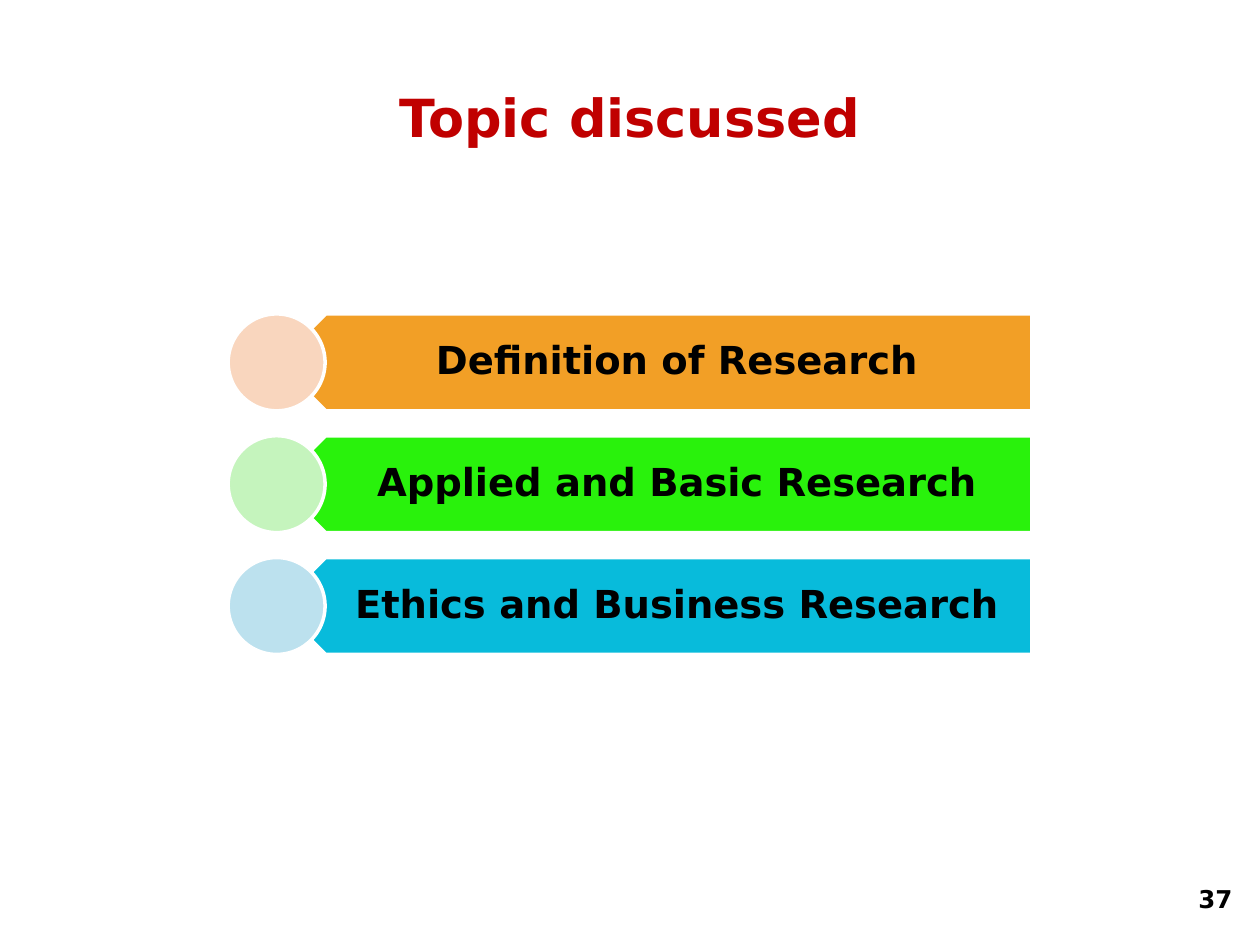
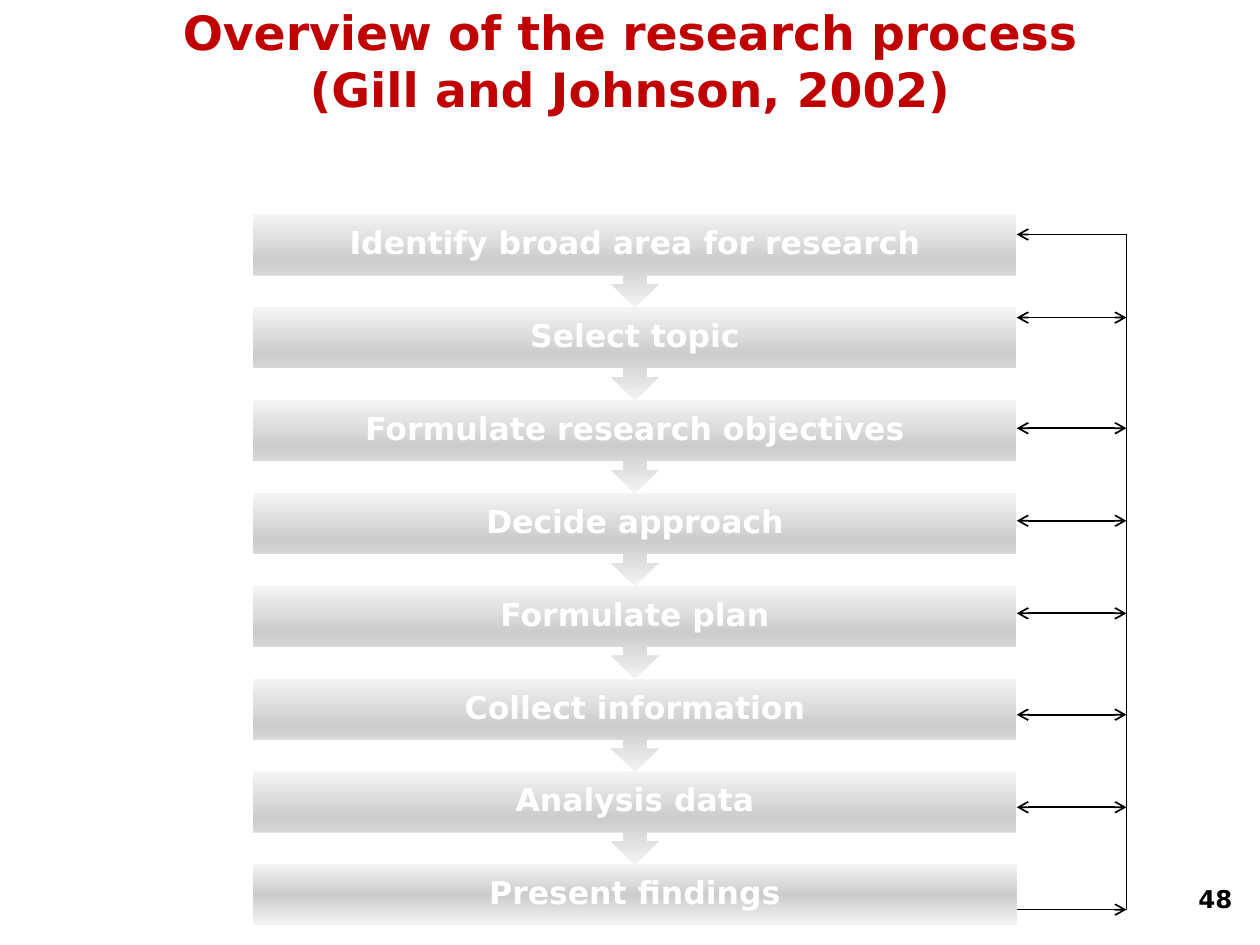
from copy import deepcopy

from lxml.etree import SubElement
from pptx import Presentation
from pptx.dml.color import RGBColor
from pptx.enum.shapes import MSO_CONNECTOR as Connector, MSO_SHAPE as Shape
from pptx.enum.text import MSO_ANCHOR as Anchor, PP_ALIGN as Align
from pptx.oxml.ns import qn
from pptx.util import Pt

FONT = "DejaVu Sans"
RED, BLACK, WHITE = "C00000", "000000", "FFFFFF"
SILVER = [(0, "F4F4F4"), (0.5, "CCCCCC"), (1, "F4F4F4")]

TOPICS = [
    ("Definition of Research", "F29F26", "F9D6BE"),
    ("Applied and Basic Research", "29F20C", "C5F4BD"),
    ("Ethics and Business Research", "08BBDB", "BCE1EE"),
]
STEPS = [
    "Identify broad area for research",
    "Select topic",
    "Formulate research objectives",
    "Decide approach",
    "Formulate plan",
    "Collect information",
    "Analysis data",
    "Present findings",
]


def color(value):
    return RGBColor.from_string(value)


def write(frame, text, size=18, fill=BLACK, align=Align.CENTER,
          anchor=Anchor.MIDDLE, spacing=1.0, insets=(7.2, 3.6, 7.2, 3.6)):
    frame.word_wrap = True
    frame.vertical_anchor = anchor
    (frame.margin_left, frame.margin_top,
     frame.margin_right, frame.margin_bottom) = map(Pt, insets)
    paragraph = frame.paragraphs[0]
    paragraph.text = text
    paragraph.alignment = align
    paragraph.line_spacing = spacing
    for run in paragraph.runs:
        run.font.name = FONT
        run.font.size = Pt(size)
        run.font.bold = True
        run.font.color.rgb = color(fill)


class Deck:
    def __init__(self):
        self.presentation = Presentation()
        self.presentation.slide_width = Pt(720)
        self.presentation.slide_height = Pt(540)
        self.slide = None

    def add_slide(self, title, top, height, size, number):
        self.slide = self.presentation.slides.add_slide(self.presentation.slide_layouts[6])
        self.text(title, 36, top, 648, height, size=size, fill=RED)
        self.text(number, 543.6, 501.8, 167.8, 28.8, size=14,
                  align=Align.RIGHT, anchor=Anchor.TOP)

    def text(self, text, left, top, width, height, **style):
        box = self.slide.shapes.add_textbox(*map(Pt, (left, top, width, height)))
        write(box.text_frame, text, **style)

    def shape(self, kind, left, top, width, height, rotation=0):
        shape = self.slide.shapes.add_shape(kind, *map(Pt, (left, top, width, height)))
        shape.shadow.inherit = False
        shape.rotation = rotation
        return shape

    def outlined(self, kind, fill, *place, rotation=0):
        shape = self.shape(kind, *place, rotation=rotation)
        shape.fill.solid()
        shape.fill.fore_color.rgb = color(fill)
        shape.line.color.rgb = color(WHITE)
        shape.line.width = Pt(2)

    def gradient(self, kind, stops, *place, rotation=0):
        shape = self.shape(kind, *place, rotation=rotation)
        shape.line.fill.background()
        shape.fill.gradient()
        shape.fill.gradient_angle = 90
        stop_list = shape._element.spPr.find(qn("a:gradFill")).find(qn("a:gsLst"))
        stop_list.append(deepcopy(stop_list[-1]))
        for stop, (position, value) in zip(shape.fill.gradient_stops, stops):
            stop.position = position
            stop.color.rgb = color(value)

    def line(self, start, end, ends=()):
        connector = self.slide.shapes.add_connector(
            Connector.STRAIGHT, *map(Pt, start + end))
        connector.line.color.rgb = color(BLACK)
        connector.line.width = Pt(1)
        properties = connector._element.spPr
        for name in ends:
            SubElement(properties.find(qn("a:ln")), qn(f"a:{name}End"), type="arrow")
        SubElement(properties, qn("a:effectLst"))


def build_topics(deck):
    deck.add_slide("Topic discussed", 21.6, 90, 30, "37")
    size, first, pitch = 55.4, 179.4, 69.6
    for index, (topic, bar, circle) in enumerate(TOPICS):
        top = first + index * pitch
        deck.outlined(Shape.PENTAGON, bar, 158.4, top, 431.2, size, rotation=180)
        deck.text(topic, 172.2, top, 417, size, size=22, spacing=0.9,
                  insets=(24.4, 6.6, 12.4, 6.6))
        deck.outlined(Shape.OVAL, circle, 130.4, top, size, size)


def build_process(deck):
    deck.add_slide("Overview of the research process\v(Gill and Johnson, 2002)",
                   -2.2, 73.6, 27, "48")
    left, width, first, pitch = 144.6, 436.4, 122.4, 53.06
    box_height, callout_height = 34.8, 53.5
    last = len(STEPS) - 1
    for index in range(last, -1, -1):
        top = first + index * pitch
        if index == last:
            deck.gradient(Shape.RECTANGLE, SILVER, left, top, width, box_height)
        else:
            deck.gradient(Shape.UP_ARROW_CALLOUT, SILVER, left, top, width,
                          callout_height, rotation=180)
        deck.text(STEPS[index], left, top, width, box_height, size=18, fill=WHITE,
                  spacing=0.9, insets=(10, 10, 10, 10))

    edge, loop, loop_top, loop_bottom = left + width, 643.7, 134, 519.8
    deck.line((loop, loop_top), (loop, loop_bottom))
    deck.line((loop, loop_top), (edge, loop_top), ["tail"])
    deck.line((edge, loop_bottom), (loop, loop_bottom), ["tail"])
    for y in (181.5, 244.7, 297.6, 350.5, 408.4, 461.3):
        deck.line((edge, y), (loop, y), ["head", "tail"])


def main():
    deck = Deck()
    build_topics(deck)
    build_process(deck)
    deck.presentation.save("out.pptx")


if __name__ == "__main__":
    main()
